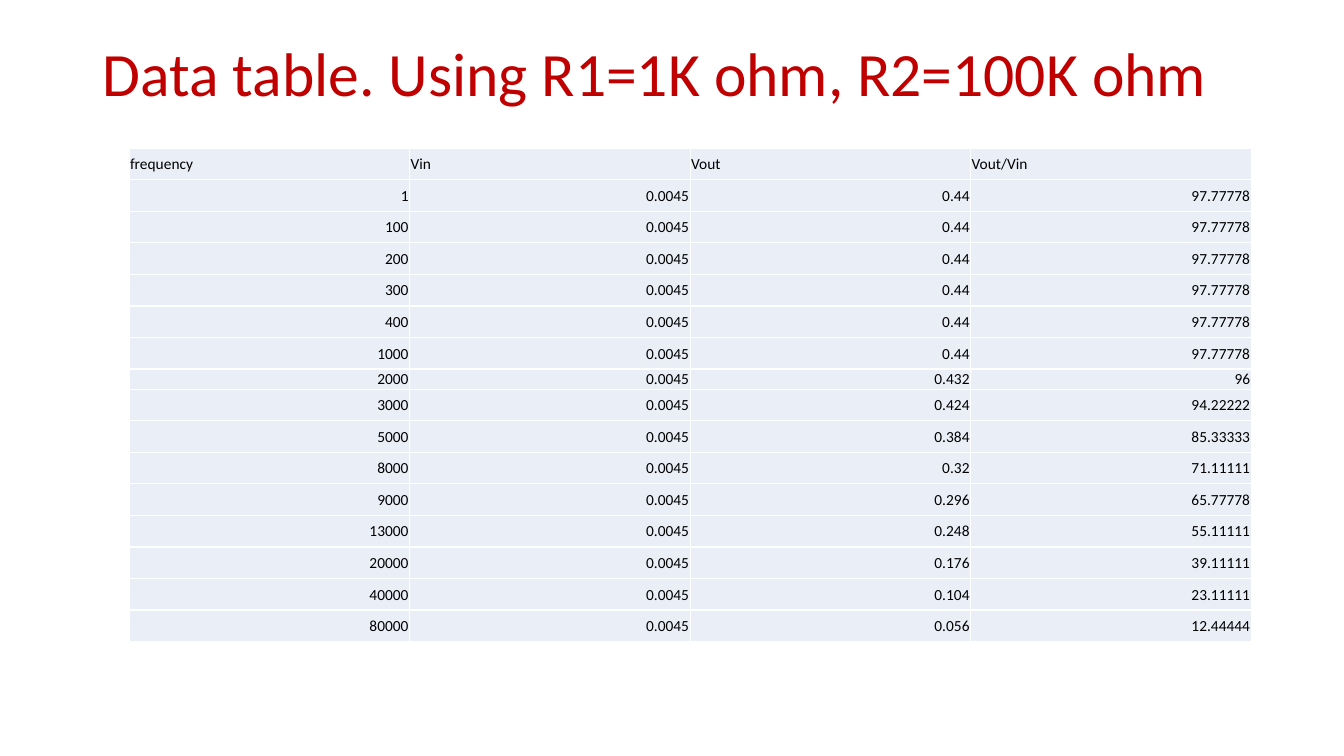
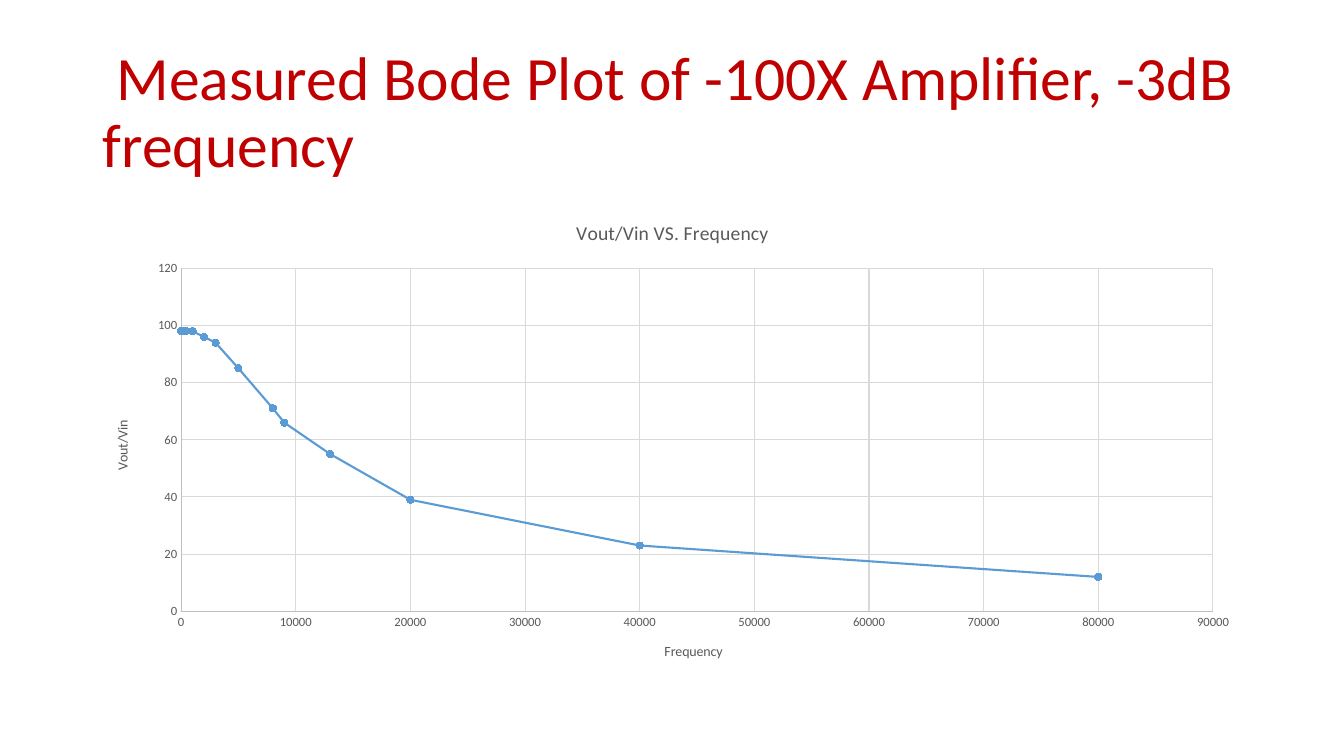
from dataclasses import dataclass

from lxml import etree
from pptx import Presentation
from pptx.chart.data import XyChartData
from pptx.dml.color import RGBColor
from pptx.enum.chart import XL_CHART_TYPE, XL_MARKER_STYLE, XL_TICK_MARK
from pptx.enum.text import MSO_ANCHOR, PP_ALIGN
from pptx.oxml.ns import qn
from pptx.util import Inches, Pt

LINES = XL_CHART_TYPE.XY_SCATTER_LINES
CIRCLE = XL_MARKER_STYLE.CIRCLE
NONE = XL_TICK_MARK.NONE
TOP, MIDDLE = MSO_ANCHOR.TOP, MSO_ANCHOR.MIDDLE
LEFT, RIGHT = PP_ALIGN.LEFT, PP_ALIGN.RIGHT


@dataclass(frozen=True)
class Theme:
    """Colours, font and type sizes."""
    font: str = "Calibri"
    red: str = "C00000"
    ink: str = "000000"
    gray: str = "595959"
    axis: str = "BFBFBF"
    grid: str = "D9D9D9"
    blue: str = "5B9BD5"
    pale: str = "EAEFF7"
    white: str = "FFFFFF"
    title: int = 44
    cell: int = 11
    head: int = 14
    label: int = 10
    tick: int = 9


HEADS = ["frequency", "Vin", "Vout", "Vout/Vin"]
VIN = 0.0045
DATA = [
    (1, 0.44, 97.77778),
    (100, 0.44, 97.77778),
    (200, 0.44, 97.77778),
    (300, 0.44, 97.77778),
    (400, 0.44, 97.77778),
    (1000, 0.44, 97.77778),
    (2000, 0.432, 96),
    (3000, 0.424, 94.22222),
    (5000, 0.384, 85.33333),
    (8000, 0.32, 71.11111),
    (9000, 0.296, 65.77778),
    (13000, 0.248, 55.11111),
    (20000, 0.176, 39.11111),
    (40000, 0.104, 23.11111),
    (80000, 0.056, 12.44444),
]


def put(item, **values):
    """Set each named attribute on the item."""
    for name, value in values.items():
        setattr(item, name, value)


class Deck:
    """Holds the style and the current slide."""

    def __init__(self, theme):
        """Start an empty wide deck."""
        self.theme = theme
        self.deck = Presentation()
        put(self.deck, slide_width=Inches(13.33), slide_height=Inches(7.5))
        self.slide = None

    def add(self):
        """Start a new blank slide."""
        self.slide = self.deck.slides.add_slide(self.deck.slide_layouts[6])

    def style(self, font, size, color):
        """Set a font's face, size and colour."""
        put(font, name=self.theme.font, size=Pt(size), bold=False)
        font.color.rgb = RGBColor.from_string(color)

    def line(self, form, color, width):
        """Set a line's colour and width."""
        form.line.color.rgb = RGBColor.from_string(color)
        form.line.width = Pt(width)

    def title(self, text, top=0.42):
        """Add the slide title."""
        box = self.slide.shapes.add_textbox(
            Inches(0.92), Inches(top), Inches(11.5), Inches(1.45))
        put(box.text_frame, word_wrap=True, vertical_anchor=TOP)
        para = box.text_frame.paragraphs[0]
        put(para, text=text, line_spacing=0.9)
        self.style(para.runs[0].font, self.theme.title, self.theme.red)

    def border(self, cell):
        """Draw thin white lines on all four sides of a cell."""
        props = cell._tc.get_or_add_tcPr()
        for side in ("lnL", "lnR", "lnT", "lnB"):
            edge = etree.SubElement(props, qn(f"a:{side}"), w=str(Pt(1)))
            fill = etree.SubElement(edge, qn("a:solidFill"))
            etree.SubElement(fill, qn("a:srgbClr"), val=self.theme.white)

    def cell(self, cell, text, align):
        """Fill and write one table cell."""
        edge = Inches(0.01)
        put(cell, text=text, vertical_anchor=MIDDLE, margin_left=edge,
            margin_right=edge, margin_top=edge, margin_bottom=0)
        self.border(cell)
        cell.fill.solid()
        cell.fill.fore_color.rgb = RGBColor.from_string(self.theme.pale)
        para = cell.text_frame.paragraphs[0]
        para.alignment = align
        self.style(para.runs[0].font, self.theme.cell, self.theme.ink)

    def table(self, rows, short):
        """Add the data table with one short row."""
        width, height, low = 11.13, 4.9, 0.2
        grid = self.slide.shapes.add_table(
            len(rows), len(rows[0]), Inches(1.28), Inches(1.47),
            Inches(width), Inches(height)).table
        put(grid, first_row=False, horz_banding=False)
        for col in grid.columns:
            col.width = Inches(width / len(rows[0]))
        tall = (height - low) / (len(rows) - 1)
        for i, row in enumerate(rows):
            grid.rows[i].height = Inches(low if i == short else tall)
            for j, value in enumerate(row):
                self.cell(grid.cell(i, j), str(value), RIGHT if i else LEFT)

    def head(self, owner, text, size):
        """Title a chart or an axis."""
        owner.has_title = True
        frame = (owner.chart_title if hasattr(owner, "chart_title")
                 else owner.axis_title).text_frame
        frame.text = text
        self.style(frame.paragraphs[0].runs[0].font, size, self.theme.gray)

    def axis(self, axis, text, high, step):
        """Format one chart axis."""
        put(axis, minimum_scale=0, maximum_scale=high, major_unit=step,
            major_tick_mark=NONE, minor_tick_mark=NONE,
            has_major_gridlines=True)
        self.line(axis.format, self.theme.axis, 0.75)
        self.line(axis.major_gridlines.format, self.theme.grid, 0.75)
        self.style(axis.tick_labels.font, self.theme.tick, self.theme.gray)
        put(axis.tick_labels, number_format="General",
            number_format_is_linked=False)
        self.head(axis, text, self.theme.label)

    def chart(self, name, points):
        """Add the scatter chart with lines."""
        data = XyChartData()
        series = data.add_series(name)
        for x, y in points:
            series.add_data_point(x, y)
        chart = self.slide.shapes.add_chart(
            LINES, Inches(0.92), Inches(1.99), Inches(11.5), Inches(4.76),
            data).chart
        chart.has_legend = False
        self.style(chart.font, self.theme.label, self.theme.ink)
        self.head(chart, "Vout/Vin VS. Frequency", self.theme.head)
        self.axis(chart.category_axis, "Frequency", 90000, 10000)
        self.axis(chart.value_axis, name, 120, 20)
        plot = chart.plots[0]
        plot.vary_by_categories = False
        curve = plot.series[0]
        curve.smooth = False
        self.line(curve.format, self.theme.blue, 1.5)
        put(curve.marker, style=CIRCLE, size=5)
        form = curve.marker.format
        form.fill.solid()
        form.fill.fore_color.rgb = RGBColor.from_string(self.theme.blue)
        self.line(form, self.theme.blue, 0.75)


def main():
    """Build both slides and save them."""
    deck = Deck(Theme())
    deck.add()
    deck.title("Data table. Using R1=1K ohm, R2=100K ohm", 0.38)
    deck.table([HEADS] + [(f, VIN, out, gain) for f, out, gain in DATA], 7)
    deck.add()
    deck.title(" Measured Bode Plot of -100X Amplifier, -3dB frequency")
    deck.chart(HEADS[-1], [(f, round(gain)) for f, _, gain in DATA])
    deck.deck.save("out.pptx")


if __name__ == "__main__":
    main()
